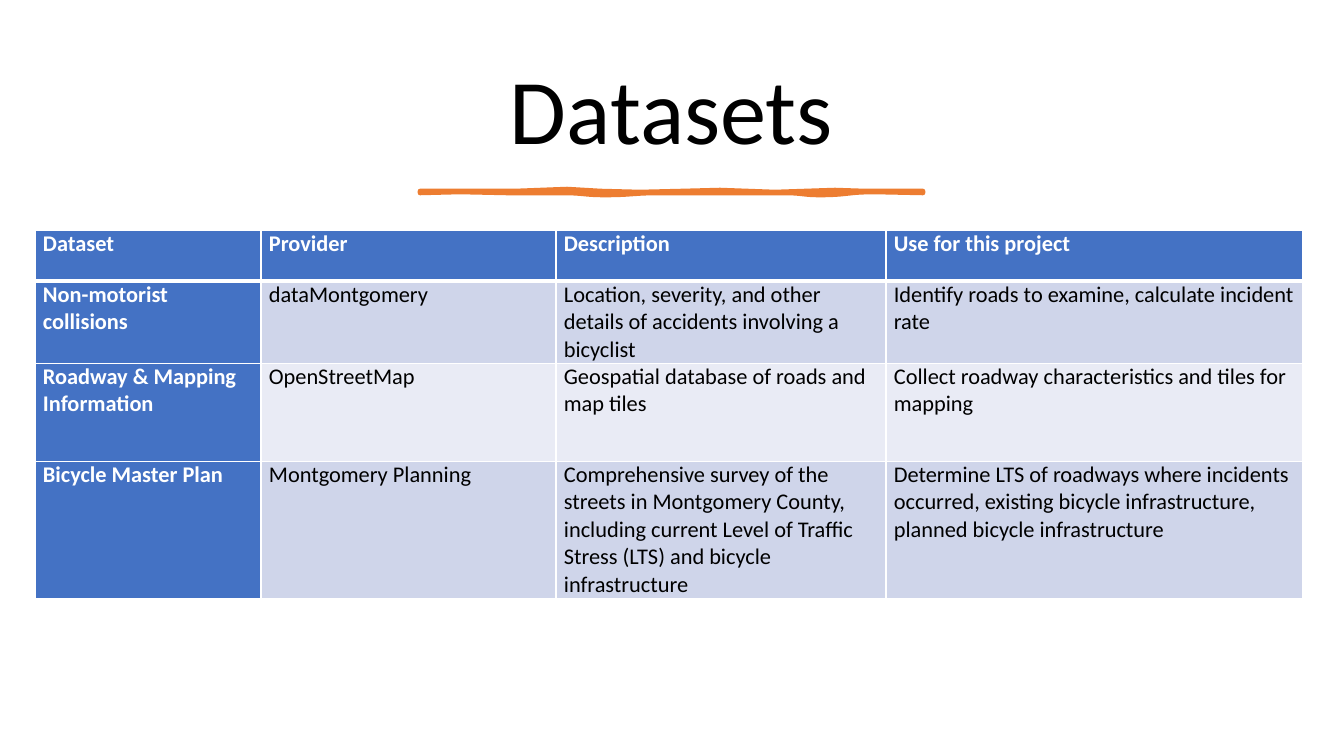
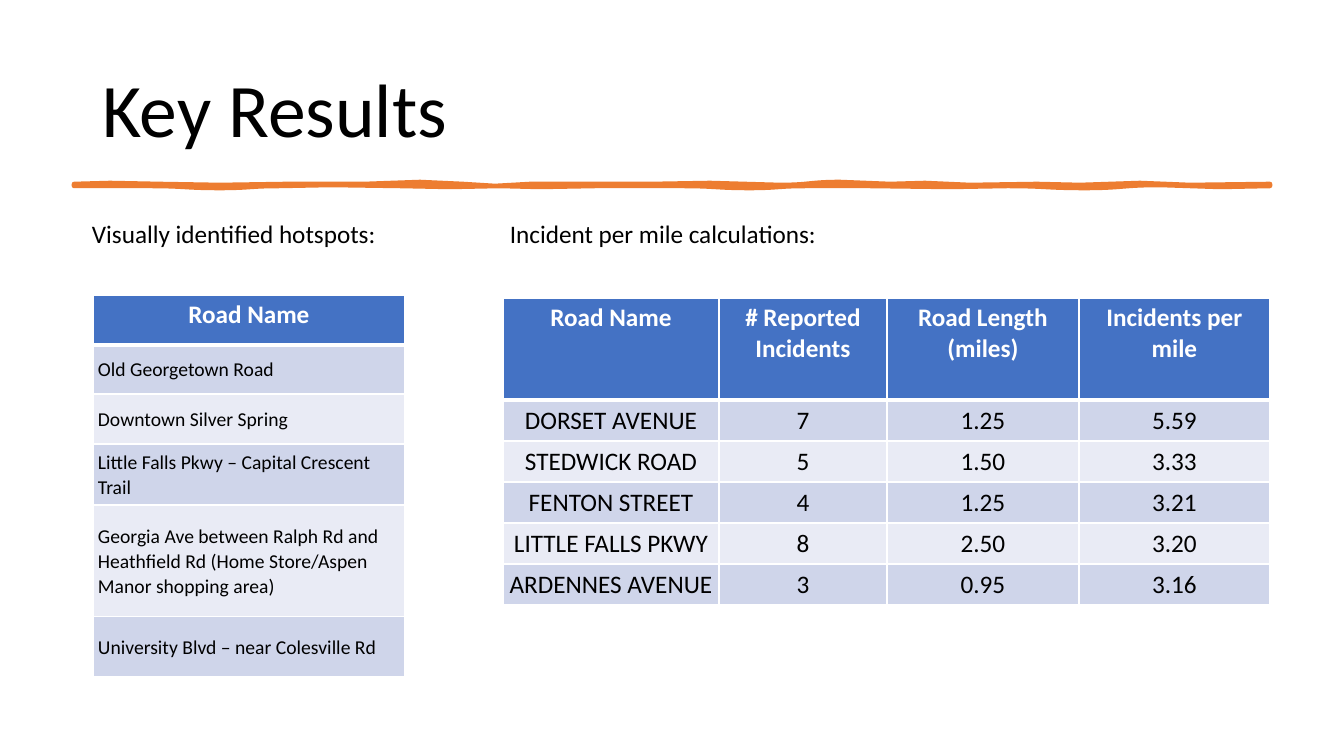
from lxml import etree
from pptx import Presentation
from pptx.dml.color import RGBColor
from pptx.enum.text import MSO_ANCHOR, MSO_AUTO_SIZE, PP_ALIGN
from pptx.oxml.ns import qn
from pptx.util import Emu, Pt

LEFT, CENTER = PP_ALIGN.LEFT, PP_ALIGN.CENTER
TOP, MIDDLE = MSO_ANCHOR.TOP, MSO_ANCHOR.MIDDLE
NO_FIT = MSO_AUTO_SIZE.NONE

BLACK = RGBColor(0x00, 0x00, 0x00)
WHITE = RGBColor(0xFF, 0xFF, 0xFF)
BLUE = RGBColor(0x44, 0x72, 0xC4)
ORANGE = RGBColor(0xED, 0x7D, 0x31)
BANDS = (RGBColor(0xCF, 0xD5, 0xEA), RGBColor(0xE9, 0xEB, 0xF5))
FONT = "Calibri"
PX = 914400 / 100.8
TITLE_ONLY = 5

DATASETS = [
    ("Dataset", "Provider", "Description", "Use for this project"),
    ("Non-motorist collisions", "dataMontgomery",
     "Location, severity, and other details of accidents involving a bicyclist",
     "Identify roads to examine, calculate incident rate"),
    ("Roadway & Mapping Information", "OpenStreetMap",
     "Geospatial database of roads and map tiles",
     "Collect roadway characteristics and tiles for mapping"),
    ("Bicycle Master Plan", "Montgomery Planning",
     "Comprehensive survey of the streets in Montgomery County, including "
     "current Level of Traffic Stress (LTS) and bicycle infrastructure",
     "Determine LTS of roadways where incidents occurred, existing bicycle "
     "infrastructure, planned bicycle infrastructure"),
]
HOTSPOTS = [
    ("Road Name",),
    ("Old Georgetown Road",),
    ("Downtown Silver Spring",),
    ("Little Falls Pkwy – Capital Crescent Trail",),
    ("Georgia Ave between Ralph Rd and Heathfield Rd "
     "(Home Store/Aspen Manor shopping area)",),
    ("University Blvd – near Colesville Rd",),
]
INCIDENTS = [
    ("Road Name", "# Reported Incidents", "Road Length (miles)", "Incidents per mile"),
    ("DORSET AVENUE", "7", "1.25", "5.59"),
    ("STEDWICK ROAD", "5", "1.50", "3.33"),
    ("FENTON STREET", "4", "1.25", "3.21"),
    ("LITTLE FALLS PKWY", "8", "2.50", "3.20"),
    ("ARDENNES AVENUE", "3", "0.95", "3.16"),
]
SUBHEADS = [(82, "Visually identified hotspots:"), (500, "Incident per mile calculations:")]

SHORT_STROKE = (
    [(420, 0), (477, 0), (515, 0), (567, -2), (601, 0), (640, 1), (682, 0),
     (720, -1), (775, 1), (835, -1), (865, 0), (923, 0)],
    [(923, 2), (875, 1), (820, 4), (785, 2), (723, 2), (660, 2), (605, 4),
     (563, 2), (507, 2), (460, 1), (420, 2)],
)
LONG_STROKE = (
    [(74, 0), (110, -1), (160, 0), (220, 1), (286, 0), (364, 0), (420, -2),
     (463, 0), (495, 2), (530, 0), (577, 0), (651, 0), (710, -1), (780, 1),
     (840, -2), (890, 0), (925, -1), (970, 1), (1037, 0), (1080, 1),
     (1140, -1), (1190, 1), (1270, 0)],
    [(1270, 2), (1220, 3), (1160, 1), (1085, 4), (1007, 2), (950, 3),
     (870, 2), (806, 2), (750, 4), (682, 2), (595, 2), (540, 3), (500, 2),
     (450, 3), (400, 2), (331, 1), (280, 2), (220, 4), (150, 2), (74, 2)],
)


def px(n):
    return Emu(round(n * PX))


def place(sp, x, y, w, h):
    sp.left, sp.top, sp.width, sp.height = px(x), px(y), px(w), px(h)


def write(tf, text, size, color=BLACK, bold=False, align=LEFT, spacing=None):
    p = tf.paragraphs[0]
    p.alignment = align
    if spacing:
        p.line_spacing = spacing
    r = p.add_run()
    r.text = text
    r.font.name, r.font.size, r.font.bold = FONT, Pt(size), bold
    r.font.color.rgb = color


def add_title(slide, text, box, size, align):
    sp = slide.shapes.title
    place(sp, *box)
    tf = sp.text_frame
    tf.word_wrap, tf.auto_size, tf.vertical_anchor = True, NO_FIT, MIDDLE
    write(tf, text, size, align=align, spacing=0.9)


def curve_segments(sp):
    outline = next(sp._element.iter(qn("a:path")))
    x0, y0 = 0, 0
    for step in outline:
        if not len(step):
            continue
        x1, y1 = (int(step[0].get(key)) for key in ("x", "y"))
        if step.tag == qn("a:lnTo"):
            mid = (x0 + x1) // 2
            curve = etree.Element(qn("a:cubicBezTo"))
            for x, y in ((mid, y0), (mid, y1), (x1, y1)):
                etree.SubElement(curve, qn("a:pt"), x=str(x), y=str(y))
            outline.replace(step, curve)
        x0, y0 = x1, y1


def add_stroke(slide, stroke, y):
    upper, lower = stroke
    points = [(px(x), px(y + dy)) for x, dy in upper + lower]
    builder = slide.shapes.build_freeform(*points[0])
    builder.add_line_segments(points[1:], close=True)
    sp = builder.convert_to_shape()
    curve_segments(sp)
    sp.shadow.inherit = False
    sp.fill.solid()
    sp.fill.fore_color.rgb = ORANGE
    sp.line.color.rgb = ORANGE
    sp.line.width = Pt(3.25)


def set_borders(cell, row):
    tc_pr = cell._tc.get_or_add_tcPr()
    widths = {"L": 1, "R": 1, "T": 3 if row == 1 else 1, "B": 3 if row == 0 else 1}
    for side, width in widths.items():
        ln = etree.SubElement(tc_pr, qn(f"a:ln{side}"), w=str(Pt(width)))
        fill = etree.SubElement(ln, qn("a:solidFill"))
        etree.SubElement(fill, qn("a:srgbClr"), val=str(WHITE))


def add_table(slide, rows, x, y, widths, heights, size, head_size, head_align, align,
              anchor, head_margins, margins, bold_first=False, spacing=None):
    frame = slide.shapes.add_table(len(rows), len(widths), px(x), px(y),
                                   px(sum(widths)), px(sum(heights)))
    table = frame.table
    table.first_col = bold_first
    for col, w in zip(table.columns, widths):
        col.width = px(w)
    for i, (values, h) in enumerate(zip(rows, heights)):
        table.rows[i].height = px(h)
        head = i == 0
        for j, text in enumerate(values):
            cell = table.cell(i, j)
            strong = head or (bold_first and j == 0)
            mx, my = head_margins if head else margins
            cell.margin_left = cell.margin_right = px(mx)
            cell.margin_top = cell.margin_bottom = px(my)
            cell.vertical_anchor = TOP if head else anchor
            set_borders(cell, i)
            cell.fill.solid()
            cell.fill.fore_color.rgb = BLUE if strong else BANDS[(i - 1) % 2]
            write(cell.text_frame, text, head_size if head else size,
                  WHITE if strong else BLACK, strong,
                  head_align if head else align, None if head else spacing)


def datasets_slide(prs):
    slide = prs.slides.add_slide(prs.slide_layouts[TITLE_ONLY])
    add_title(slide, "Datasets", (70, 46, 1203, 138), 66, CENTER)
    add_stroke(slide, SHORT_STROKE, 191)
    add_table(slide, DATASETS, 35, 230, (226, 295, 330, 417), (51, 82, 98, 137),
              16, 16, LEFT, LEFT, TOP, (8, 0), (8, 0), bold_first=True)


def results_slide(prs):
    slide = prs.slides.add_slide(prs.slide_layouts[TITLE_ONLY])
    add_title(slide, "Key Results", (92, 40, 1160, 146), 54, LEFT)
    add_stroke(slide, LONG_STROKE, 184)
    add_table(slide, INCIDENTS, 503, 298, (216, 168, 192, 191), (102,) + (41,) * 5,
              18, 18, CENTER, CENTER, MIDDLE, (10, 5), (4, 4))
    for x, text in SUBHEADS:
        tf = slide.shapes.add_textbox(px(x), px(213), px(405), px(40)).text_frame
        tf.word_wrap = True
        write(tf, text, 18)
    add_table(slide, HOTSPOTS, 93, 295, (312,), (50, 49, 50, 61, 112, 60),
              14, 18, CENTER, LEFT, MIDDLE, (10, 5), (5, 4), spacing=1.05)


def main():
    prs = Presentation()
    prs.slide_width, prs.slide_height = px(1344), px(756)
    datasets_slide(prs)
    results_slide(prs)
    prs.save("out.pptx")


if __name__ == "__main__":
    main()
